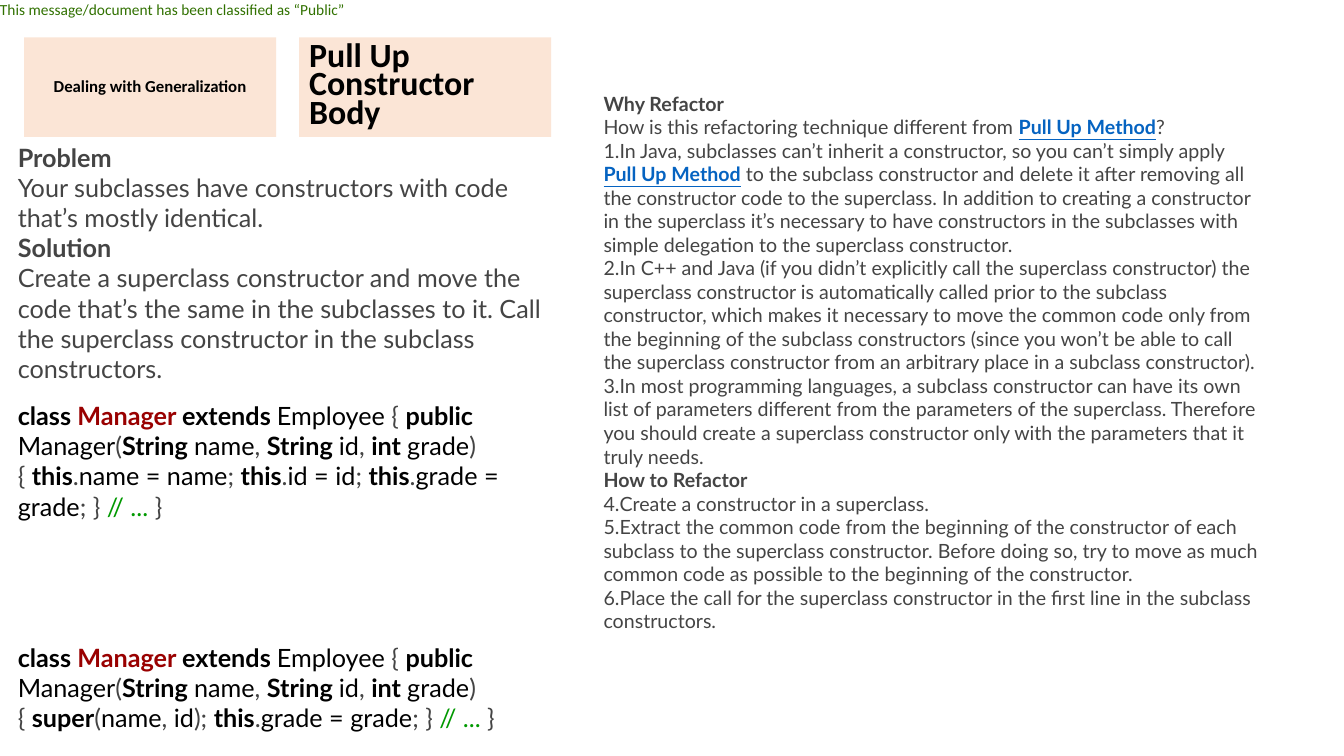
from lxml.etree import SubElement
from pptx import Presentation
from pptx.dml.color import RGBColor
from pptx.enum.shapes import MSO_SHAPE as Shape
from pptx.enum.text import MSO_ANCHOR as Anchor, MSO_AUTO_SIZE as Fit, PP_ALIGN as Align
from pptx.oxml.ns import qn
from pptx.util import Cm, Pt

BLACK = RGBColor(0x00, 0x00, 0x00)
GREY = RGBColor(0x44, 0x44, 0x44)
RED = RGBColor(0x99, 0x00, 0x00)
GREEN = RGBColor(0x00, 0x99, 0x00)
OLIVE = RGBColor(0x31, 0x71, 0x00)
BLUE = RGBColor(0x05, 0x63, 0xC1)
PEACH = RGBColor(0xFB, 0xE5, 0xD6)

# Run styles: colour and font values
STYLES = {
    "note": (OLIVE, {}),
    "text": (GREY, {}),
    "head": (GREY, {"bold": True}),
    "link": (BLUE, {"bold": True, "underline": True}),
    "key": (BLACK, {"bold": True}),
    "name": (BLACK, {}),
    "class": (RED, {"bold": True}),
    "rem": (GREEN, {}),
}

# Content: a paragraph is a list of (style, words)
NOTE = [[("note", "This message/document has been classified as “Public”")]]
TOPIC = [[("key", "Dealing with Generalization")]]
TITLE = [[("key", "Pull Up Constructor Body")]]

SUMMARY = [
    [("head", "Problem")],
    [("text", "Your subclasses have constructors with code that’s mostly identical.")],
    [("head", "Solution")],
    [("text", "Create a superclass constructor and move the code that’s the same in the "
              "subclasses to it. Call the superclass constructor in the subclass constructors.")],
]

START = [
    ("key", "class "), ("class", "Manager "), ("key", "extends "), ("name", "Employee"),
    ("text", " { "), ("key", "public "), ("name", "Manager"), ("text", "("),
    ("key", "String "), ("name", "name"), ("text", ", "),
    ("key", "String "), ("name", "id"), ("text", ", "),
    ("key", "int "), ("name", "grade"), ("text", ") { "),
]
FIELDS = [
    ("key", "this"), ("text", "."), ("name", "name = name"), ("text", "; "),
    ("key", "this"), ("text", "."), ("name", "id = id"), ("text", "; "),
]
SUPER = [("key", "super"), ("text", "("), ("name", "name"), ("text", ", "),
         ("name", "id"), ("text", "); ")]
END = [("key", "this"), ("text", "."), ("name", "grade = grade"), ("text", "; } "),
       ("rem", "// ..."), ("text", " }")]
CODE = [START + FIELDS + END, START + SUPER + END]

LINK = ("link", "Pull Up Method")
REASONS = [
    [("head", "Why Refactor")],
    [("text", "How is this refactoring technique different from "), LINK, ("text", "?")],
    [("text", "In Java, subclasses can’t inherit a constructor, so you can’t simply apply "), LINK,
     ("text", " to the subclass constructor and delete it after removing all the constructor "
              "code to the superclass. In addition to creating a constructor in the superclass "
              "it’s necessary to have constructors in the subclasses with simple delegation to "
              "the superclass constructor.")],
    [("text", "In C++ and Java (if you didn’t explicitly call the superclass constructor) the "
              "superclass constructor is automatically called prior to the subclass constructor, "
              "which makes it necessary to move the common code only from the beginning of the "
              "subclass constructors (since you won’t be able to call the superclass constructor "
              "from an arbitrary place in a subclass constructor).")],
    [("text", "In most programming languages, a subclass constructor can have its own list of "
              "parameters different from the parameters of the superclass. Therefore you should "
              "create a superclass constructor only with the parameters that it truly needs.")],
    [("head", "How to Refactor")],
    [("text", "Create a constructor in a superclass.")],
    [("text", "Extract the common code from the beginning of the constructor of each subclass to "
              "the superclass constructor. Before doing so, try to move as much common code as "
              "possible to the beginning of the constructor.")],
    [("text", "Place the call for the superclass constructor in the first line in the subclass "
              "constructors.")],
]
STEPS = {2, 3, 4, 6, 7, 8}

# Text boxes: paragraphs, place in cm, font, size, extra format
BOXES = [
    (NOTE, (0, 0, 9.53, 0.46), "Calibri", 11, {"inset": 0}),
    (SUMMARY, (0.2, 3.45, 13.72, 6.4), "Lato", 18, {}),
    (CODE, (0.2, 9.96, 14.2, 8.71), "Lato", 18, {"gap": 86.4}),
    (REASONS, (14.96, 2.18, 17.04, 14.02), "Lato", 14, {"steps": STEPS}),
]

# Cards: paragraphs, size, paragraph format
CARDS = [
    (TOPIC, 12, {"alignment": Align.CENTER, "line_spacing": 0.9}),
    (TITLE, 24.2, {"alignment": Align.LEFT, "line_spacing": 0.7}),
]
LEFT, TOP, WIDE, HIGH, PITCH = 0.61, 0.94, 6.35, 2.51, 6.93


def apply(item, values):
    for key, value in values.items():
        setattr(item, key, value)


def number(para):
    props = para._p.get_or_add_pPr()
    props.set("marL", "0")
    props.set("indent", "0")
    SubElement(props, qn("a:buFont"), typeface="+mj-lt")
    SubElement(props, qn("a:buAutoNum"), type="arabicPeriod")


def write(frame, paras, face, size, look=None, gap=0, steps=()):
    frame.word_wrap = True
    for i, parts in enumerate(paras):
        para = frame.add_paragraph() if i else frame.paragraphs[0]
        apply(para, look or {})
        if i and gap:
            para.space_before = Pt(gap)
        if i in steps:
            number(para)
        for style, words in parts:
            color, values = STYLES[style]
            run = para.add_run()
            run.text = words
            base = {"name": face, "size": Pt(size), "bold": False}
            apply(run.font, {**base, **values})
            run.font.color.rgb = color


def main():
    deck = Presentation()
    apply(deck, {"slide_width": Cm(33.87), "slide_height": Cm(19.05)})
    slide = deck.slides.add_slide(deck.slide_layouts[6])

    # Heading cards
    for i, (paras, size, look) in enumerate(CARDS):
        place = (LEFT + i * PITCH, TOP, WIDE, HIGH)
        card = slide.shapes.add_shape(Shape.RECTANGLE, *map(Cm, place))
        card.shadow.inherit = False
        card.fill.solid()
        card.fill.fore_color.rgb = PEACH
        card.line.fill.background()
        card.text_frame.vertical_anchor = Anchor.MIDDLE
        write(card.text_frame, paras, "Calibri", size, look)

    # Text boxes
    for paras, place, face, size, extra in BOXES:
        frame = slide.shapes.add_textbox(*map(Cm, place)).text_frame
        extra = dict(extra)
        inset = extra.pop("inset", None)
        if inset is not None:
            sides = ("left", "top", "right", "bottom")
            apply(frame, {f"margin_{side}": Cm(inset) for side in sides})
        frame.auto_size = Fit.SHAPE_TO_FIT_TEXT
        write(frame, paras, face, size, **extra)

    deck.save("out.pptx")


if __name__ == "__main__":
    main()
